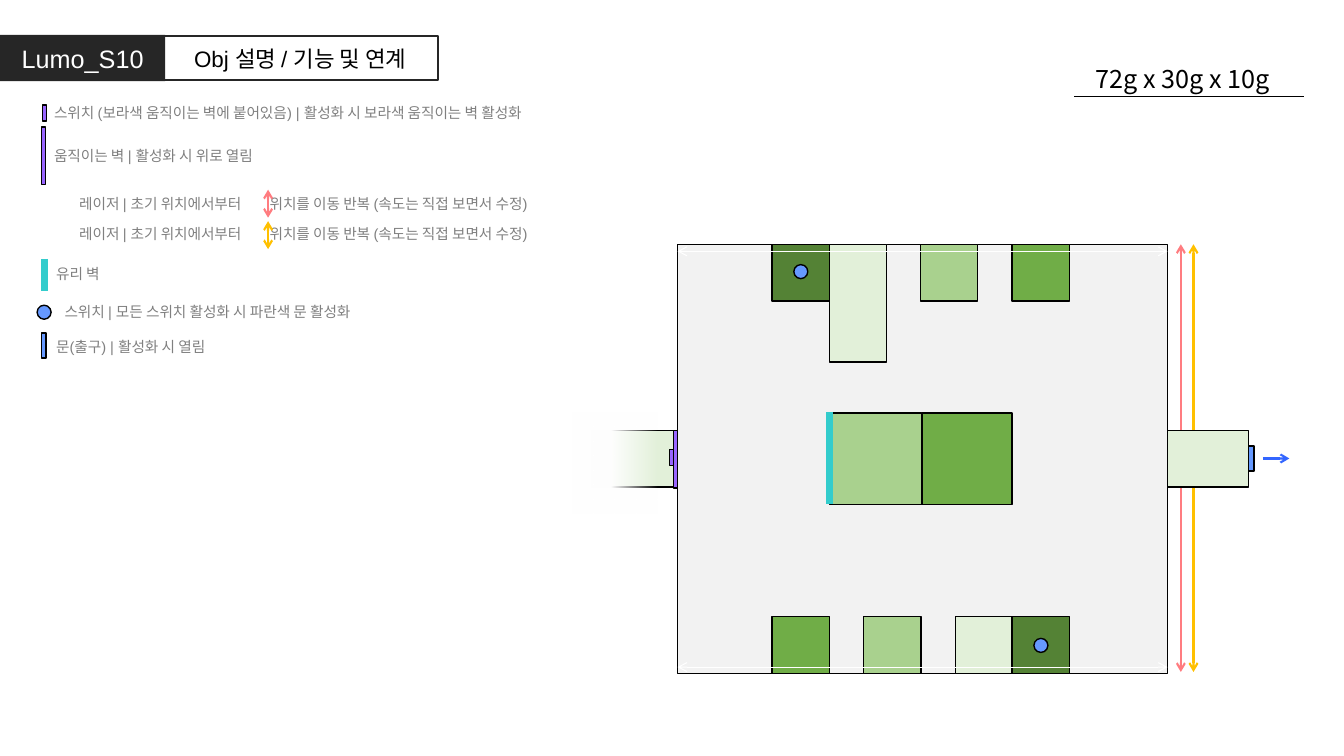
"""Build the Lumo_S10 stage slide: object legend and room plan."""
from lxml import etree
from pptx import Presentation
from pptx.dml.color import RGBColor
from pptx.enum.shapes import MSO_CONNECTOR, MSO_SHAPE
from pptx.enum.text import MSO_ANCHOR, MSO_AUTO_SIZE, PP_ALIGN
from pptx.oxml.ns import qn
from pptx.util import Pt

RECT, OVAL = MSO_SHAPE.RECTANGLE, MSO_SHAPE.OVAL
STRAIGHT = MSO_CONNECTOR.STRAIGHT
LEFT, CENTER = PP_ALIGN.LEFT, PP_ALIGN.CENTER
TOP, MIDDLE = MSO_ANCHOR.TOP, MSO_ANCHOR.MIDDLE
NO_AUTOFIT = MSO_AUTO_SIZE.NONE
LATIN, KOREAN = "Arial", "Noto Sans CJK KR"

COLORS = {
    "white": "FFFFFF", "black": "000000", "dark": "262626", "gray": "808080",
    "floor": "F2F2F2", "pale": "E2F0D9", "light": "A9D18E", "mid": "70AD47",
    "deep": "548235", "purple": "9966FF", "blue": "6699FF", "exit": "3366FF",
    "glass": "33CCCC", "pink": "FF7C80", "amber": "FFC000",
}

ROOM_LEFT, ROOM_TOP, ROOM_WIDTH, ROOM_HEIGHT = 484, 174.5, 350, 306.5
ROOM_RIGHT, ROOM_BOTTOM = ROOM_LEFT + ROOM_WIDTH, ROOM_TOP + ROOM_HEIGHT
BLOCK_WIDTH, BLOCK_HEIGHT = 41, 40.5
SWITCH_SIZE = 10
LASER_NOTE = "레이저 | 초기 위치에서부터\t위치를 이동 반복 (속도는 직접 보면서 수정)"
LASER_TAB = 136

LEGEND = [
    (31.5, 70.5, "스위치 (보라색 움직이는 벽에 붙어있음) | 활성화 시 보라색 움직이는 벽 활성화"),
    (31.5, 101.5, "움직이는 벽 | 활성화 시 위로 열림"),
    (49.5, 135.5, LASER_NOTE),
    (49.5, 157, LASER_NOTE),
    (33, 185.5, "유리 벽"),
    (39, 212.5, "스위치 | 모든 스위치 활성화 시 파란색 문 활성화"),
    (33, 237.5, "문(출구) | 활성화 시 열림"),
]
TOP_BLOCKS = [
    (551.5, BLOCK_HEIGHT, "deep"), (592.5, 84, "pale"),
    (657.5, BLOCK_HEIGHT, "light"), (723, BLOCK_HEIGHT, "mid"),
]
BOTTOM_BLOCKS = [(617, "light"), (682.5, "pale"), (551.5, "mid"), (723, "deep")]


def rgb(name):
    """Return the palette colour called name."""
    return RGBColor.from_string(COLORS[name])


def write(holder, text, *, size, color, font=LATIN, align=LEFT, anchor=TOP,
          wrap=True, tab=None):
    """Put formatted text into a shape, text box or placeholder."""
    frame = holder.text_frame
    frame.text = text
    frame.word_wrap = wrap
    frame.auto_size = NO_AUTOFIT
    frame.vertical_anchor = anchor
    paragraph = frame.paragraphs[0]
    paragraph.alignment = align
    if tab:
        stops = etree.SubElement(paragraph._p.get_or_add_pPr(), qn("a:tabLst"))
        etree.SubElement(stops, qn("a:tab"), pos=str(Pt(tab)), algn="l")
    for run in paragraph.runs:
        run.font.size = Pt(size)
        run.font.name = font
        run.font.color.rgb = rgb(color)
        etree.SubElement(run.font._element, qn("a:ea"), typeface=KOREAN)


def add_label(slide, left, top, width, height, text, **style):
    """Add a text box."""
    label = slide.shapes.add_textbox(Pt(left), Pt(top), Pt(width), Pt(height))
    write(label, text, **style)


def add_block(slide, left, top, width, height, fill, outline="black", kind=RECT):
    """Add a filled shape, outlined unless outline is None."""
    block = slide.shapes.add_shape(kind, Pt(left), Pt(top), Pt(width), Pt(height))
    block.shadow.inherit = False
    block.fill.solid()
    block.fill.fore_color.rgb = rgb(fill)
    if outline:
        block.line.color.rgb = rgb(outline)
        block.line.width = Pt(1)
    else:
        block.line.fill.background()
    return block


def add_switch(slide, left, top):
    """Add a round blue switch."""
    add_block(slide, left, top, SWITCH_SIZE, SWITCH_SIZE, "blue", kind=OVAL)


def add_line(slide, x1, y1, x2, y2, color, width, heads=()):
    """Add a straight line with open arrowheads at the ends named in heads."""
    line = slide.shapes.add_connector(STRAIGHT, Pt(x1), Pt(y1), Pt(x2), Pt(y2))
    line.line.color.rgb = rgb(color)
    line.line.width = Pt(width)
    for end in heads:
        etree.SubElement(line.line._get_or_add_ln(), qn(f"a:{end}"), type="arrow")
    etree.SubElement(line._element.spPr, qn("a:effectLst"))


def add_two_way(slide, x1, y1, x2, y2, color, width=1.5):
    """Add a line with an arrowhead at each end."""
    add_line(slide, x1, y1, x2, y2, color, width, ("headEnd", "tailEnd"))


def add_fade(slide, left, top, width, height):
    """Add a white veil that clears towards its right edge."""
    veil = add_block(slide, left, top, width, height, "white", None)
    properties = veil._element.spPr
    gradient = etree.Element(qn("a:gradFill"), rotWithShape="1")
    stops = etree.SubElement(gradient, qn("a:gsLst"))
    for position, alpha in ((0, 0), (55, 100), (100, 100)):
        stop = etree.SubElement(stops, qn("a:gs"), pos=str(position * 1000))
        tint = etree.SubElement(stop, qn("a:srgbClr"), val=COLORS["white"])
        etree.SubElement(tint, qn("a:alpha"), val=str(alpha * 1000))
    etree.SubElement(gradient, qn("a:lin"), ang=str(180 * 60000), scaled="0")
    properties.replace(properties.find(qn("a:solidFill")), gradient)


def add_header(slide):
    """Add the stage name, the title and the dimensions."""
    title = slide.shapes.title
    title.left, title.top, title.width, title.height = Pt(116), Pt(26), Pt(197), Pt(31.5)
    title.line.color.rgb = rgb("dark")
    title.line.width = Pt(1.5)
    write(title, "Obj 설명 / 기능 및 연계", size=16, color="black",
          align=CENTER, anchor=MIDDLE)
    stage = add_block(slide, 0, 25, 118, 33, "dark", None)
    write(stage, "Lumo_S10", size=18, color="white", align=CENTER, anchor=MIDDLE)
    add_line(slide, 767.5, 69, 931.5, 69, "black", 1)
    add_label(slide, 765.5, 42, 158.5, 29, "72g x 30g x 10g", size=18,
              color="black", font=KOREAN, align=CENTER)


def add_legend(slide):
    """Add the object notes and their symbols."""
    for left, top, note in LEGEND:
        add_label(slide, left, top, 459, 20, note, size=10.5, color="gray",
                  tab=LASER_TAB if note == LASER_NOTE else None)
    add_block(slide, 30.3, 75, 2.9, 11.5, "purple")
    add_block(slide, 29.5, 90.7, 3, 41, "purple")
    add_line(slide, 31.7, 185, 31.7, 208, "glass", 4.5)
    add_switch(slide, 26.5, 218)
    add_block(slide, 29.5, 237.8, 3.5, 18, "blue")
    add_two_way(slide, 191.5, 155.5, 191.5, 135.5, "pink")
    add_two_way(slide, 191.5, 178, 191.5, 158, "amber")


def add_room(slide):
    """Add the room plan with its blocks, lasers, corridors and doors."""
    add_block(slide, ROOM_LEFT, ROOM_TOP, ROOM_WIDTH, ROOM_HEIGHT, "floor")
    add_block(slide, 422.5, 307.5, 58.5, BLOCK_HEIGHT, "pale")
    add_fade(slide, 409, 294.5, 60.5, 72)
    add_block(slide, 478.2, 321, 2.9, 11.5, "purple")
    add_block(slide, 481, 307.5, 2.9, 41, "purple")
    for left, height, color in TOP_BLOCKS:
        add_block(slide, left, ROOM_TOP, BLOCK_WIDTH, height, color)
    for left, color in BOTTOM_BLOCKS:
        add_block(slide, left, ROOM_BOTTOM - BLOCK_HEIGHT, BLOCK_WIDTH,
                  BLOCK_HEIGHT, color)
    add_block(slide, 592.5, 295, 66, 65.5, "light")
    add_block(slide, 658.5, 295, 64.5, 65.5, "mid")
    for y in (179.5, 476.5):
        add_two_way(slide, ROOM_LEFT, y, ROOM_RIGHT, y, "white", 0.75)
    for x, color in ((852.5, "amber"), (843.5, "pink")):
        add_two_way(slide, x, 480, x, ROOM_TOP, color)
    add_block(slide, ROOM_RIGHT, 307.5, 58, BLOCK_HEIGHT, "pale")
    add_line(slide, 902, 327.5, 921, 327.5, "exit", 1.5, ("tailEnd",))
    add_block(slide, 892, 318.5, 3.8, 18, "blue")
    add_switch(slide, 567, 189)
    add_switch(slide, 738.5, 456)
    add_line(slide, 592.5, 294.5, 592.5, 360, "glass", 4.5)


def main():
    """Build and save the slide."""
    deck = Presentation()
    deck.slide_width, deck.slide_height = Pt(960), Pt(540)
    slide = deck.slides.add_slide(deck.slide_layouts[5])
    add_header(slide)
    add_legend(slide)
    add_room(slide)
    deck.save("out.pptx")


if __name__ == "__main__":
    main()
